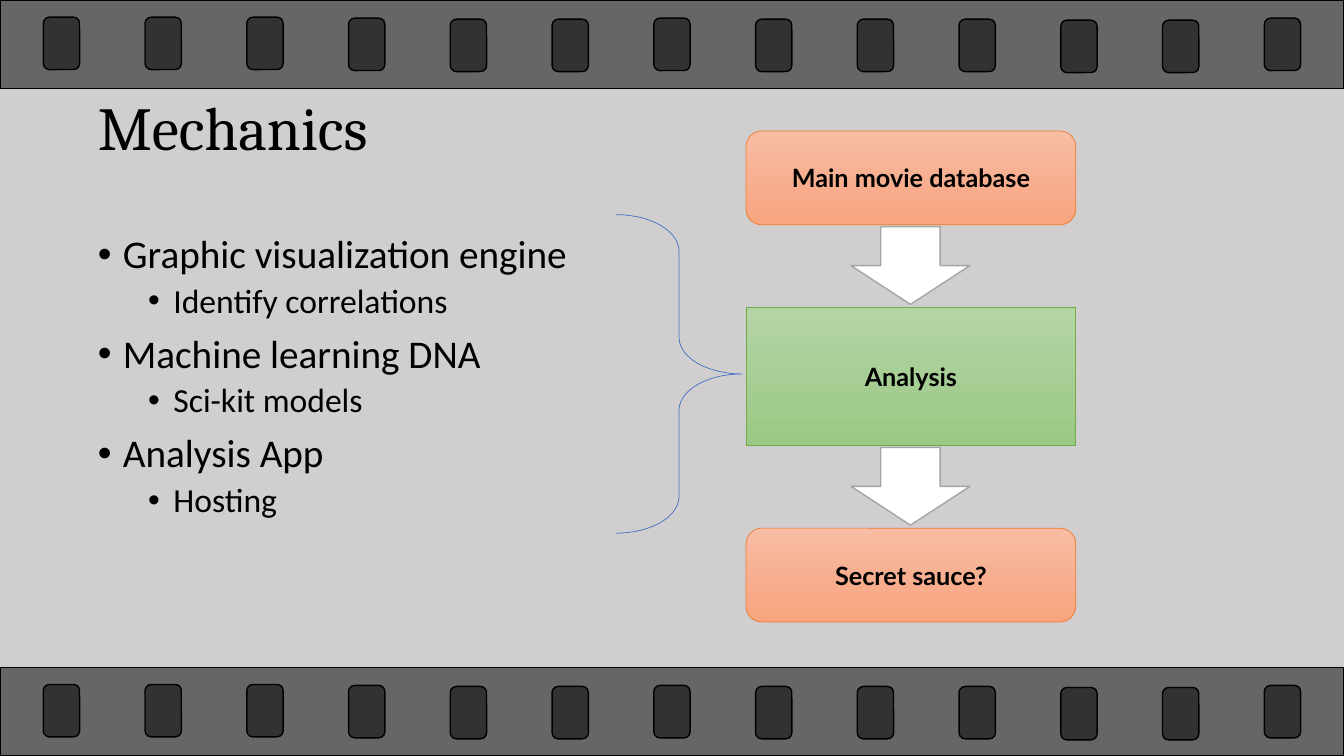
from typing import NamedTuple

from lxml.etree import SubElement
from pptx import Presentation
from pptx.dml.color import RGBColor
from pptx.enum.shapes import MSO_SHAPE as Preset
from pptx.enum.text import MSO_ANCHOR as Anchor, PP_ALIGN as Align
from pptx.oxml.ns import qn
from pptx.shapes.autoshape import Shape
from pptx.slide import Slide
from pptx.util import Inches, Pt

BLACK = RGBColor(0x00, 0x00, 0x00)
WHITE = RGBColor(0xFF, 0xFF, 0xFF)
BACKGROUND = RGBColor(0xD0, 0xCE, 0xCE)
GREY = RGBColor(0xA5, 0xA5, 0xA5)
BLUE = RGBColor(0x44, 0x72, 0xC4)
ORANGE = RGBColor(0xED, 0x7D, 0x31)
ORANGE_TOP = RGBColor(0xF7, 0xBC, 0xA3)
ORANGE_BOTTOM = RGBColor(0xF8, 0xA4, 0x7F)
GREEN = RGBColor(0x70, 0xAD, 0x47)
GREEN_TOP = RGBColor(0xB4, 0xD4, 0xA5)
GREEN_BOTTOM = RGBColor(0x9B, 0xC9, 0x85)

STRIP_TOPS = (0, 6.62)
HOLE_OFFSETS = (0.17, 0.17, 0.17, 0.18, 0.19, 0.19, 0.18,
                0.19, 0.19, 0.19, 0.2, 0.2, 0.18)
FIRST_HOLE, LAST_HOLE = 0.43, 12.54
HOLE_PITCH = (LAST_HOLE - FIRST_HOLE) / (len(HOLE_OFFSETS) - 1)
ARROW_TOPS = (2.25, 4.44)


class Box(NamedTuple):
    left: float
    top: float
    width: float
    height: float


class Stage(NamedTuple):
    text: str
    preset: Preset
    top: float
    height: float
    gradient: tuple[RGBColor, RGBColor]
    line: RGBColor


class Level(NamedTuple):
    size: int
    before: int
    indent: float


class Bullet(NamedTuple):
    text: str
    level: int


STAGES = (
    Stage("Main movie database", Preset.ROUNDED_RECTANGLE, 1.3, 0.93,
          (ORANGE_TOP, ORANGE_BOTTOM), ORANGE),
    Stage("Analysis", Preset.RECTANGLE, 3.05, 1.37,
          (GREEN_TOP, GREEN_BOTTOM), GREEN),
    Stage("Secret sauce?", Preset.ROUNDED_RECTANGLE, 5.24, 0.93,
          (ORANGE_TOP, ORANGE_BOTTOM), ORANGE),
)
LEVELS = (Level(28, 10, 0.25), Level(24, 5, 0.75))
BULLETS = (
    Bullet("Graphic visualization engine", 0),
    Bullet("Identify correlations", 1),
    Bullet("Machine learning DNA", 0),
    Bullet("Sci-kit models", 1),
    Bullet("Analysis App", 0),
    Bullet("Hosting", 1),
)


def set_values(target: object, values: dict) -> None:
    for name, value in values.items():
        setattr(target, name, value)


def place(shape: Shape, box: Box) -> None:
    set_values(shape, {name: Inches(value) for name, value in box._asdict().items()})


def format_frame(shape: Shape, anchor: Anchor, top_margin: float = 0.05) -> None:
    set_values(shape.text_frame, {
        "word_wrap": True, "vertical_anchor": anchor,
        "margin_left": Inches(0.05), "margin_right": Inches(0.05),
        "margin_top": Inches(top_margin), "margin_bottom": Inches(0.05)})


def format_font(font: object, name: str, size: float, bold: bool = False) -> None:
    set_values(font, {"name": name, "size": Pt(size), "bold": bold})
    font.color.rgb = BLACK


def add_outlined(slide: Slide, preset: Preset, box: Box,
                 line: RGBColor, weight: float) -> Shape:
    shape = slide.shapes.add_shape(preset, *map(Inches, box))
    shape.shadow.inherit = False
    shape.line.color.rgb = line
    shape.line.width = Pt(weight)
    return shape


def add_film_part(slide: Slide, preset: Preset, box: Box) -> None:
    """Add a half-transparent black part of a film strip."""
    shape = add_outlined(slide, preset, box, BLACK, 1)
    shape.fill.solid()
    shape.fill.fore_color.rgb = BLACK
    color = shape.fill._xPr.find(qn("a:solidFill"))[0]
    SubElement(color, qn("a:alpha"), val="50000")


def add_film_strip(slide: Slide, top: float) -> None:
    add_film_part(slide, Preset.RECTANGLE, Box(0, top, 13.33, 0.88))
    for index, offset in enumerate(HOLE_OFFSETS):
        left = FIRST_HOLE + index * HOLE_PITCH
        add_film_part(slide, Preset.ROUNDED_RECTANGLE, Box(left, top + offset, 0.36, 0.52))


def add_title(slide: Slide) -> None:
    title = slide.shapes.title
    place(title, Box(0.92, 0.89, 11.5, 0.82))
    format_frame(title, Anchor.MIDDLE)
    paragraph = title.text_frame.paragraphs[0]
    paragraph.text = "Mechanics"
    set_values(paragraph, {"alignment": Align.LEFT, "line_spacing": 0.9})
    format_font(paragraph.runs[0].font, "Cambria", 43.6)


def add_bullets(slide: Slide) -> None:
    body = slide.shapes.add_textbox(*map(Inches, Box(0.92, 1.71, 11.5, 4.91)))
    format_frame(body, Anchor.TOP, top_margin=0.62)
    frame = body.text_frame
    for index, bullet in enumerate(BULLETS):
        paragraph = frame.add_paragraph() if index else frame.paragraphs[0]
        level = LEVELS[bullet.level]
        paragraph.text = bullet.text
        set_values(paragraph, {"level": bullet.level, "line_spacing": 0.9,
                               "space_before": Pt(level.before if index else 0)})
        format_font(paragraph.runs[0].font, "Calibri", level.size)
        properties = paragraph._p.get_or_add_pPr()
        properties.set("marL", str(Inches(level.indent)))
        properties.set("indent", str(Inches(-0.25)))
        SubElement(properties, qn("a:buFont"), typeface="Arial")
        SubElement(properties, qn("a:buChar"), char="•")


def add_stage(slide: Slide, stage: Stage) -> None:
    box = Box(7.4, stage.top, 3.27, stage.height)
    shape = add_outlined(slide, stage.preset, box, stage.line, 0.5)
    shape.fill.gradient()
    shape.fill.gradient_angle = 270
    for stop, color in zip(shape.fill.gradient_stops, stage.gradient):
        stop.color.rgb = color
    format_frame(shape, Anchor.MIDDLE)
    paragraph = shape.text_frame.paragraphs[0]
    paragraph.text = stage.text
    paragraph.alignment = Align.CENTER
    format_font(paragraph.runs[0].font, "Lato", 18, bold=True)


def add_arrow(slide: Slide, top: float) -> None:
    arrow = add_outlined(slide, Preset.DOWN_ARROW, Box(8.44, top, 1.18, 0.77), GREY, 1)
    arrow.fill.solid()
    arrow.fill.fore_color.rgb = WHITE


def add_brace(slide: Slide) -> None:
    brace = add_outlined(slide, Preset.RIGHT_BRACE, Box(6.11, 2.13, 1.25, 3.16), BLUE, 0.5)
    brace.fill.background()
    brace.adjustments[0] = 0.29


def main() -> None:
    presentation = Presentation()
    set_values(presentation, {"slide_width": Inches(13.33), "slide_height": Inches(7.5)})
    slide = presentation.slides.add_slide(presentation.slide_layouts.get_by_name("Title Only"))
    slide.background.fill.solid()
    slide.background.fill.fore_color.rgb = BACKGROUND
    for top in STRIP_TOPS:
        add_film_strip(slide, top)
    add_title(slide)
    add_bullets(slide)
    for stage in STAGES:
        add_stage(slide, stage)
    for top in ARROW_TOPS:
        add_arrow(slide, top)
    add_brace(slide)
    presentation.save("out.pptx")


if __name__ == "__main__":
    main()
